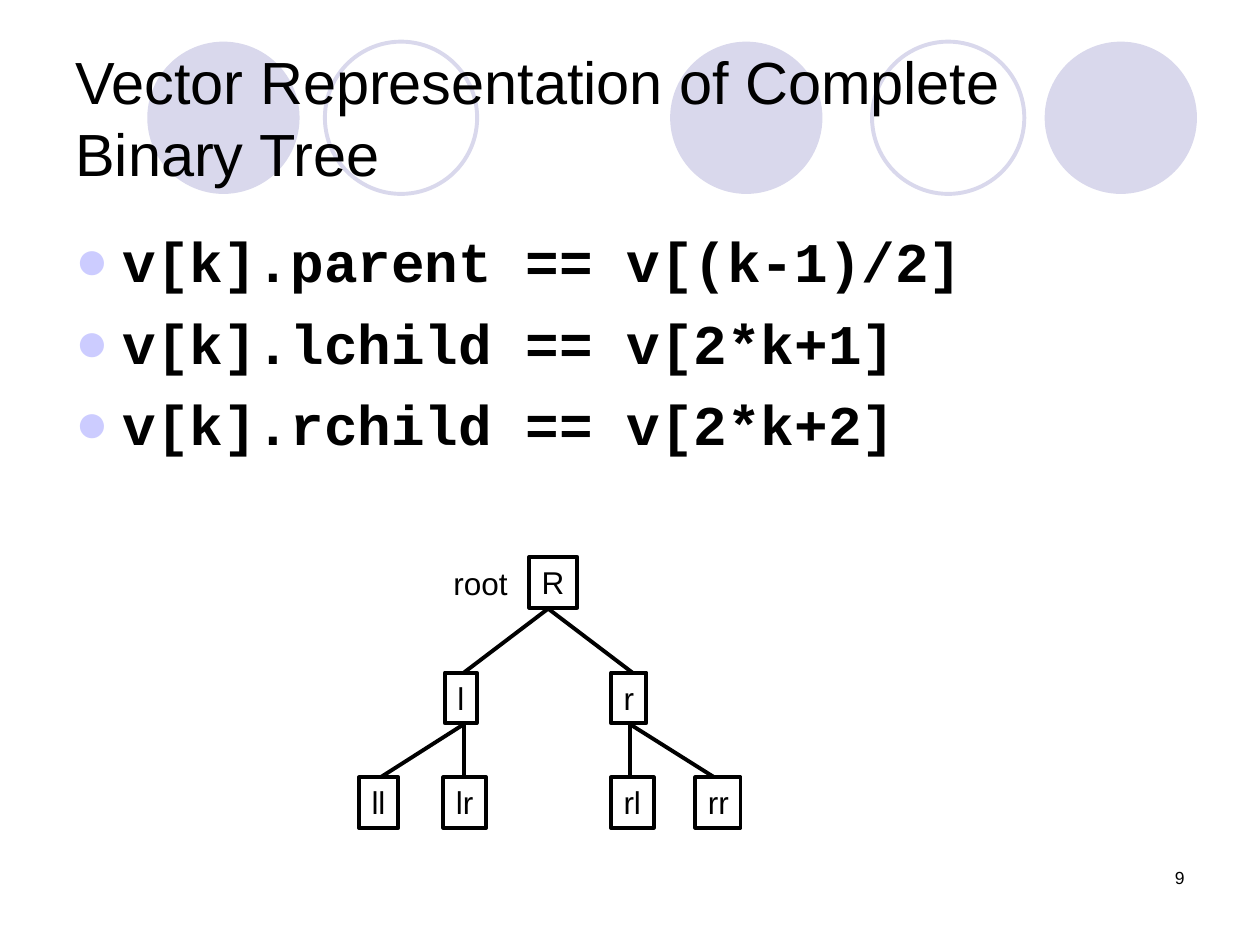
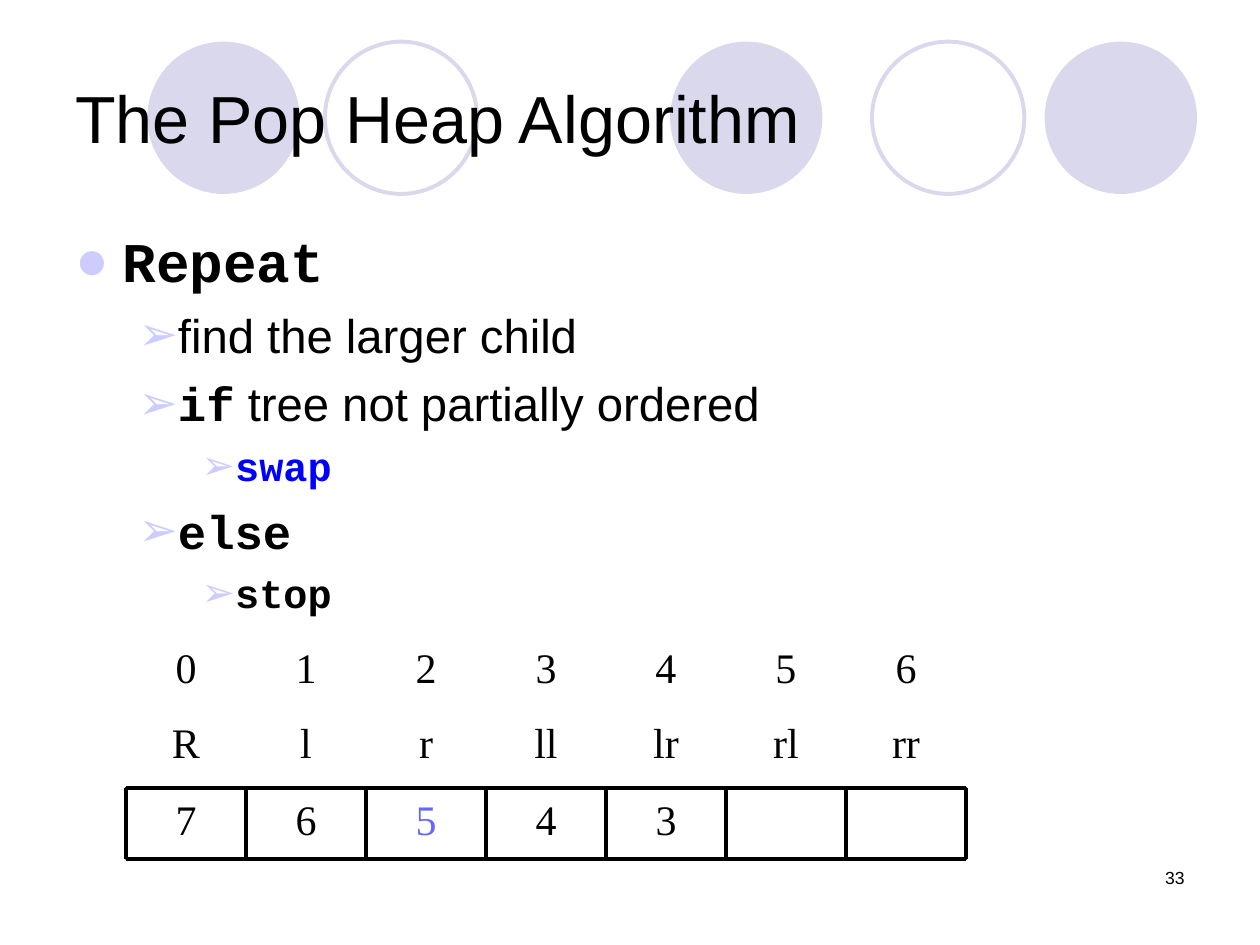
import pptx
import pptx.dml.color
import pptx.enum.shapes
import pptx.enum.text
import pptx.oxml.ns
import pptx.util
from lxml import etree

Cm, Pt = pptx.util.Cm, pptx.util.Pt
SHAPE = pptx.enum.shapes.MSO_SHAPE
ALIGN = pptx.enum.text.PP_ALIGN
ANCHOR = pptx.enum.text.MSO_ANCHOR
qn = pptx.oxml.ns.qn

COLORS = {"ink": "000000", "circle": "D9D8EC", "bullet": "CCCCFF",
          "swap": "0000FF", "moved": "6767FF"}
SANS, MONO, SERIF = "Arial", "Courier New", "Times New Roman"
CODE = {"font": MONO, "bold": True}

# Per outline level: size, indent, hanging part, space before, bullet
LEVELS = [(32, 0.95, 0.95, 8, "●"), (27, 2.06, 0.79, 6.8, "➢"), (23, 3.18, 0.64, 5.8, "➢")]


def rgb(name):
    return pptx.dml.color.RGBColor.from_string(COLORS[name])


def write(paragraph, text, size=18, font=SANS, color="ink", bold=False, align=ALIGN.LEFT):
    paragraph.alignment = align
    run = paragraph.add_run()
    run.text = text
    run.font.size = Pt(size)
    run.font.name = font
    run.font.bold = bold
    run.font.color.rgb = rgb(color)


class Deck:
    def __init__(self):
        self.file = pptx.Presentation()
        self.file.slide_width, self.file.slide_height = Cm(25.4), Cm(19.05)
        self.slide = None

    def start_slide(self, title, title_size, number):
        self.slide = self.file.slides.add_slide(self.file.slide_layouts[6])
        for left in (13.51, 21.06, 2.97):
            self.shape(SHAPE.OVAL, left, 0.84, 3.07, 3.07, fill="circle")
        for left in (17.58, 6.55):
            self.shape(SHAPE.OVAL, left, 0.84, 3.07, 3.07, line="circle")
        self.text(title, 1.27, 0.76, 22.86, 3.18, anchor=ANCHOR.MIDDLE, size=title_size)
        self.text(str(number), 18.21, 17.35, 5.92, 1.27, size=10, align=ALIGN.RIGHT)

    def shape(self, kind, left, top, width, height, fill=None, line=None, weight=2.25):
        shape = self.slide.shapes.add_shape(kind, Cm(left), Cm(top), Cm(width), Cm(height))
        shape.shadow.inherit = False
        if fill:
            shape.fill.solid()
            shape.fill.fore_color.rgb = rgb(fill)
        else:
            shape.fill.background()
        if line:
            shape.line.color.rgb = rgb(line)
            shape.line.width = Pt(weight)
        else:
            shape.line.fill.background()
        return shape

    def box(self, text, left, top, width, height, weight=2.25, wrap=False, **style):
        """Draw an outlined rectangle holding a label."""
        box = self.shape(SHAPE.RECTANGLE, left, top, width, height, line="ink", weight=weight)
        if text:
            frame = box.text_frame
            frame.word_wrap = wrap
            frame.vertical_anchor = ANCHOR.TOP
            write(frame.paragraphs[0], text, **style)

    def text(self, text, left, top, width, height, wrap=True, anchor=ANCHOR.TOP, **style):
        area = self.slide.shapes.add_textbox(Cm(left), Cm(top), Cm(width), Cm(height))
        frame = area.text_frame
        frame.word_wrap = wrap
        frame.vertical_anchor = anchor
        if text:
            write(frame.paragraphs[0], text, **style)
        return frame

    def outline(self, items):
        """Write the bulleted body; each item is a level and its (text, style) parts."""
        frame = self.text("", 1.27, 4.45, 22.86, 12.57)
        for index, (level, *parts) in enumerate(items):
            paragraph = frame.add_paragraph() if index else frame.paragraphs[0]
            size, indent, hanging, before, bullet = LEVELS[level]
            paragraph.level = level
            paragraph.space_before = Pt(before)
            properties = paragraph._p.get_or_add_pPr()
            properties.set("marL", str(Cm(indent)))
            properties.set("indent", str(-Cm(hanging)))
            bullet_color = etree.SubElement(properties, qn("a:buClr"))
            etree.SubElement(bullet_color, qn("a:srgbClr"), val=COLORS["bullet"])
            etree.SubElement(properties, qn("a:buFont"), typeface=SANS)
            etree.SubElement(properties, qn("a:buChar"), char=bullet)
            for text, style in parts:
                write(paragraph, text, size=size, **style)

    def line(self, start, end):
        line = self.slide.shapes.add_connector(
            pptx.enum.shapes.MSO_CONNECTOR.STRAIGHT, *map(Cm, start + end))
        line.line.color.rgb = rgb("ink")
        line.line.width = Pt(2.25)
        etree.SubElement(line._element.spPr, qn("a:effectLst"))

    def table_row(self, labels, left, top, column, height, **style):
        table = self.slide.shapes.add_table(
            1, len(labels), Cm(left), Cm(top), Cm(column * len(labels)), Cm(height)).table
        table.first_row = table.horz_banding = False
        for cell, label in zip(table.iter_cells(), labels):
            cell.fill.background()
            write(cell.text_frame.paragraphs[0], label, **style)


def vector_slide(deck):
    deck.start_slide("Vector Representation of Complete Binary Tree", 34, 9)
    deck.outline([(0, (rule, CODE)) for rule in (
        "v[k].parent == v[(k-1)/2]", "v[k].lchild == v[2*k+1]", "v[k].rchild == v[2*k+2]")])

    root_top, child_top, leaf_top = 11.23, 13.56, 15.67
    nodes = [("R", 10.67, root_top, 0.97),
             ("l", 8.97, child_top, 0.64), ("r", 12.32, child_top, 0.71),
             ("ll", 7.24, leaf_top, 0.79), ("lr", 8.94, leaf_top, 0.86),
             ("rl", 12.32, leaf_top, 0.86), ("rr", 14.02, leaf_top, 0.91)]
    for label, left, top, width in nodes:
        deck.box(label, left, top, width, 1.02)

    branches = [((11.05, 12.27), child_top, (9.35, 12.75)),
                ((9.35, 14.6), leaf_top, (7.67, 9.35)),
                ((12.7, 14.6), leaf_top, (12.7, 14.4))]
    for parent, top, children in branches:
        for child in children:
            deck.line(parent, (child, top))
    deck.text("root", 8.89, 11.25, 1.6, 1.02, wrap=False)


def pop_heap_slide(deck):
    deck.start_slide("The Pop Heap Algorithm", 38, 33)
    deck.outline([
        (0, ("Repeat", CODE)),
        (1, ("find the larger child", {})),
        (1, ("if", CODE), (" tree not partially ordered", {})),
        (2, ("swap", {**CODE, "color": "swap"})),
        (1, ("else", CODE)),
        (2, ("stop", CODE)),
    ])

    positions = ["R", "l", "r", "ll", "lr", "rl", "rr"]
    heap = ["7", "6", "5", "4", "3", "", ""]
    left, top, column, height = 2.54, 15.88, 2.42, 1.44
    bottom, right = top + height, left + column * len(heap)
    style = {"size": 24, "font": SERIF, "align": ALIGN.CENTER}

    deck.table_row(positions, left, 14.4, column, 1.42, **style)
    deck.table_row([str(i) for i in range(len(heap))], left, 12.9, column, 1.42, **style)
    for index, value in enumerate(heap):
        deck.box(value, left + index * column, top, column, height, weight=0.75, wrap=True,
                 color="moved" if value == "5" else "ink", **style)
    for y in (top, bottom):
        deck.line((left, y), (right, y))
    for index in range(len(heap) + 1):
        x = left + index * column
        deck.line((x, top), (x, bottom))


def main():
    deck = Deck()
    vector_slide(deck)
    pop_heap_slide(deck)
    deck.file.save("out.pptx")


if __name__ == "__main__":
    main()
